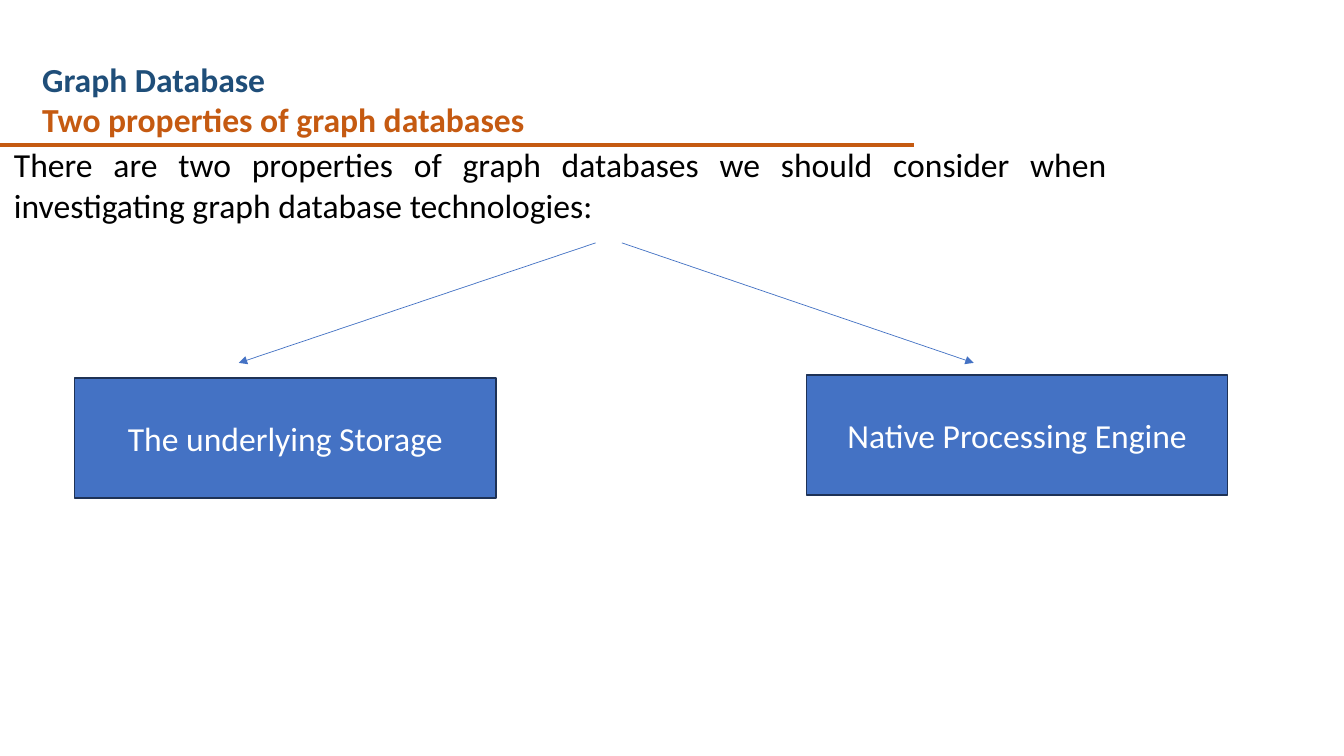
from dataclasses import dataclass

from lxml import etree
from pptx import Presentation
from pptx.dml.color import RGBColor
from pptx.enum import shapes, text
from pptx.oxml import ns
from pptx.util import Pt


@dataclass(frozen=True)
class Theme:
    """Colours, font and type size of the slide."""
    font: str = "Calibri"
    size: float = 24
    topic: str = "1F4E79"
    accent: str = "C55A11"
    body: str = "000000"
    box_fill: str = "4472C4"
    box_line: str = "1E3256"
    box_text: str = "FFFFFF"


THEME = Theme()


def style(paragraph, color, bold=False, align=None):
    """Format the runs of a paragraph."""
    paragraph.alignment = align
    for run in paragraph.runs:
        run.font.name = THEME.font
        run.font.size = Pt(THEME.size)
        run.font.bold = bold
        run.font.color.rgb = RGBColor.from_string(color)


def add_text(slide, left, top, width, height, words):
    """Add a wrapping text box and return its paragraphs."""
    frame = slide.shapes.add_textbox(Pt(left), Pt(top), Pt(width), Pt(height)).text_frame
    frame.word_wrap = True
    frame.auto_size = text.MSO_AUTO_SIZE.SHAPE_TO_FIT_TEXT
    frame.text = words
    return frame.paragraphs


def add_line(slide, start, end, color, weight, arrow=False):
    """Draw a straight line, with an arrowhead at its end if asked."""
    line = slide.shapes.add_connector(
        shapes.MSO_CONNECTOR.STRAIGHT, *map(Pt, start + end))
    line.line.color.rgb = RGBColor.from_string(color)
    line.line.width = Pt(weight)
    if arrow:
        etree.SubElement(line.line._get_or_add_ln(), ns.qn("a:tailEnd"), type="triangle")
    etree.SubElement(line._element.spPr, ns.qn("a:effectLst"))


def add_heading(slide, left, top, width, height):
    """Place the two-line heading."""
    topic, subtitle = add_text(slide, left, top, width, height,
                               "Graph Database\nTwo properties of graph databases")
    style(topic, THEME.topic, bold=True)
    style(subtitle, THEME.accent, bold=True)


def add_intro(slide, left, top, width, height):
    """Place the justified introduction."""
    intro, = add_text(slide, left, top, width, height,
                      "There are two properties of graph databases we should consider "
                      "when investigating graph database technologies:")
    style(intro, THEME.body, align=text.PP_ALIGN.JUSTIFY)


def add_property(slide, left, top, width, height, label):
    """Place one labelled property box."""
    box = slide.shapes.add_shape(
        shapes.MSO_SHAPE.RECTANGLE, Pt(left), Pt(top), Pt(width), Pt(height))
    box.shadow.inherit = False
    box.fill.solid()
    box.fill.fore_color.rgb = RGBColor.from_string(THEME.box_fill)
    box.line.color.rgb = RGBColor.from_string(THEME.box_line)
    box.line.width = Pt(1)
    box.text_frame.text = label
    box.text_frame.vertical_anchor = text.MSO_ANCHOR.MIDDLE
    style(box.text_frame.paragraphs[0], THEME.box_text, align=text.PP_ALIGN.CENTER)


def add_branches(slide, left, top, width, height):
    """Place the two properties and the arrows that lead to them."""
    box_width, box_height, arrow_drop = 301, 85.7, 85.7
    box_top = top + height - box_height
    branches = (
        ("The underlying Storage", left, box_top, 425.5, 170.6),
        ("Native Processing Engine", left + width - box_width, box_top - 2.2, 444.2, 695.5),
    )
    for *_, start, end in branches:
        add_line(slide, (start, top), (end, top + arrow_drop), THEME.box_fill, 0.5, arrow=True)
    for label, box_left, label_top, *_ in branches:
        add_property(slide, box_left, label_top, box_width, box_height, label)


def main():
    """Build and save the slide."""
    deck = Presentation()
    deck.slide_width, deck.slide_height = Pt(960), Pt(540)
    slide = deck.slides.add_slide(deck.slide_layouts[6])
    add_line(slide, (-0.7, 103.7), (653, 103.7), THEME.accent, 3)
    add_intro(slide, 2.9, 99.4, 794.9, 65.5)
    add_heading(slide, 23, 38.2, 630, 65.5)
    add_branches(slide, 53.3, 173.5, 823.7, 182.2)
    deck.save("out.pptx")


if __name__ == "__main__":
    main()
